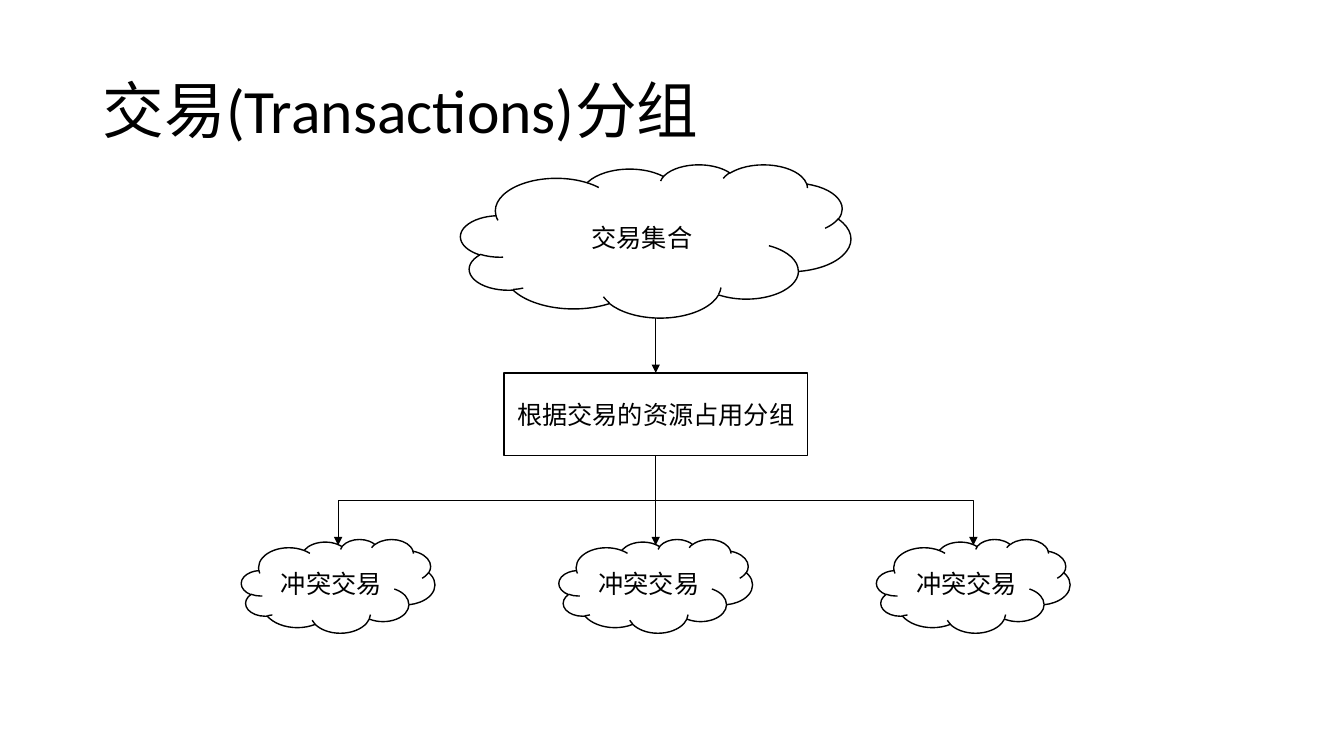
"""Build a slide on grouping transactions by the resources they use."""
from dataclasses import dataclass

from lxml import etree
from pptx import Presentation, util as u
from pptx.dml.color import RGBColor
from pptx.enum import shapes, text
from pptx.oxml.ns import qn


@dataclass(frozen=True)
class Theme:
    """Colours, fonts and sizes of the slide."""
    ink: RGBColor = RGBColor(0, 0, 0)
    font: str = "Calibri"
    head: float = 44
    body: float = 18
    edge: float = 1
    wire: float = 0.5


LOOK = Theme()
WIDE, HIGH = u.Inches(13.33), u.Inches(7.5)
MID, STEP = 48.79, 23.63
CLOUD = shapes.MSO_SHAPE.CLOUD
RECT = shapes.MSO_SHAPE.RECTANGLE


def col(n):
    """Turn hundredths of the slide's width into a length."""
    return round(WIDE * n / 100)


def row(n):
    """Turn hundredths of the slide's height into a length."""
    return round(HIGH * n / 100)


def write(frame, words, size, align):
    """Set one styled paragraph, centred vertically."""
    frame.text = words
    frame.word_wrap = True
    frame.auto_size = text.MSO_AUTO_SIZE.NONE
    frame.vertical_anchor = text.MSO_ANCHOR.MIDDLE
    para = frame.paragraphs[0]
    para.alignment = align
    para.font.name = LOOK.font
    para.font.size = u.Pt(size)
    para.font.color.rgb = LOOK.ink
    return para


def title(slide, words):
    """Place and fill the title placeholder."""
    box = slide.shapes.title
    box.left, box.top = col(6.9), row(5.33)
    box.width, box.height = col(86.27), row(19.33)
    para = write(box.text_frame, words, LOOK.head, text.PP_ALIGN.LEFT)
    para.line_spacing = 0.9


def node(slide, kind, words, x, y, wide, high):
    """Draw an outlined shape centred on x, y."""
    box = slide.shapes.add_shape(kind, col(x - wide / 2), row(y - high / 2),
                                 col(wide), row(high))
    box.shadow.inherit = False
    box.fill.background()
    box.line.color.rgb = LOOK.ink
    box.line.width = u.Pt(LOOK.edge)
    write(box.text_frame, words, LOOK.body, text.PP_ALIGN.CENTER)


def ink(wire):
    """Give a connector its thin line and arrowhead."""
    wire.line.color.rgb = LOOK.ink
    wire.line.width = u.Pt(LOOK.wire)
    etree.SubElement(wire.line._get_or_add_ln(), qn("a:tailEnd"),
                     type="triangle")
    etree.SubElement(wire._element.spPr, qn("a:effectLst"))


def arrow(slide, x, top, end):
    """Draw a straight arrow downwards."""
    ink(slide.shapes.add_connector(shapes.MSO_CONNECTOR.STRAIGHT,
                                   col(x), row(top), col(x), row(end)))


def elbow(slide, x, top, goal, end):
    """Draw a down-across-down arrow as a turned elbow."""
    drop, span = row(end - top), col(abs(goal - x))
    left = (col(x) + col(goal) - drop) // 2
    high = (row(top) + row(end) - span) // 2
    ends = (left, left + drop) if goal < x else (left + drop, left)
    wire = slide.shapes.add_connector(shapes.MSO_CONNECTOR.ELBOW,
                                      ends[0], high, ends[1], high + span)
    turn = 90 if goal < x else 270
    wire._element.spPr.find(qn("a:xfrm")).set("rot", str(turn * 60000))
    ink(wire)


def main():
    """Build and save the slide."""
    deck = Presentation()
    deck.slide_width, deck.slide_height = WIDE, HIGH
    slide = deck.slides.add_slide(deck.slide_layouts[5])
    title(slide, "交易(Transactions)分组")
    node(slide, CLOUD, "交易集合", MID, 31.87, 29.03, 20.27)
    node(slide, RECT, "根据交易的资源占用分组", MID, 54.8, 22.58, 10.93)
    arrow(slide, MID, 42.1, 49.33)
    for side in (-1, 0, 1):
        x = MID + side * STEP
        node(slide, CLOUD, "冲突交易", x, 77.53, 14.4, 12.4)
        if side:
            elbow(slide, MID, 60.27, x, 72.13)
        else:
            arrow(slide, x, 60.27, 72.13)
    deck.save("out.pptx")


main()
